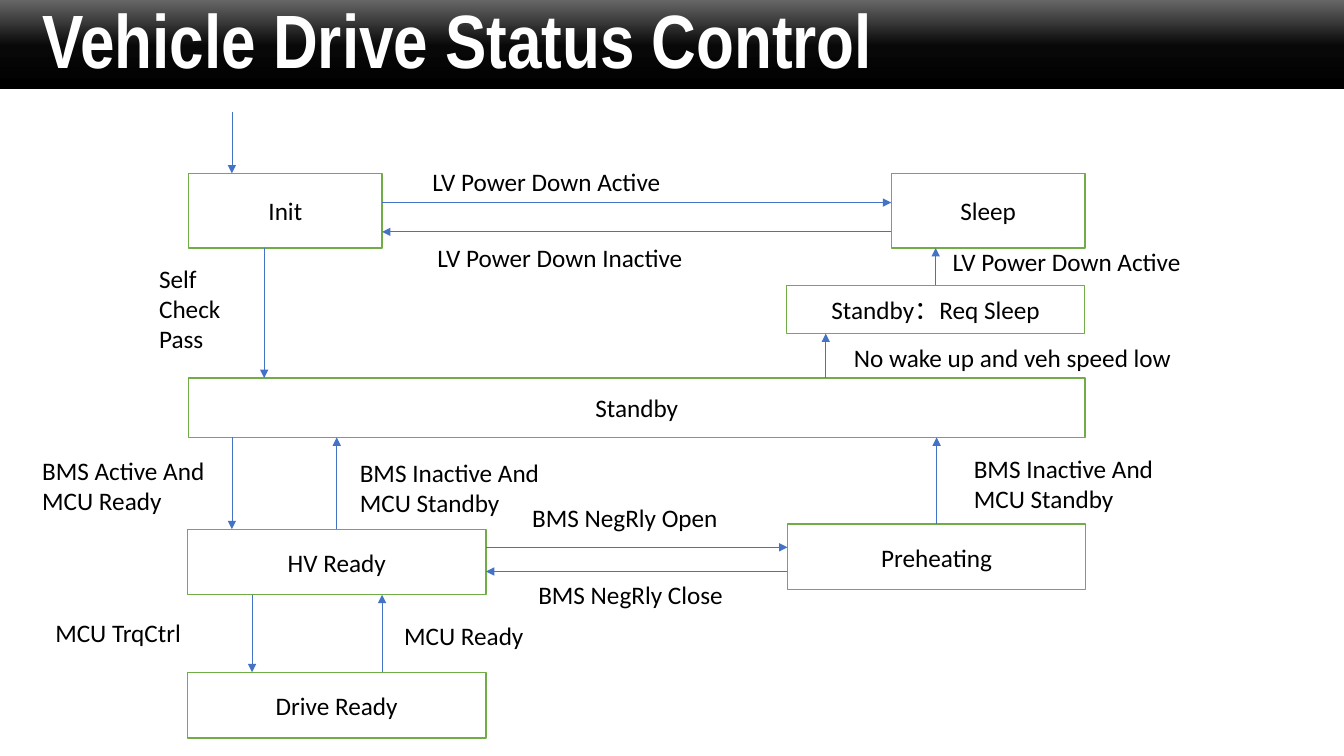
from copy import deepcopy

from lxml import etree
from pptx import Presentation
from pptx.dml.color import RGBColor
from pptx.enum.shapes import MSO_CONNECTOR, MSO_SHAPE
from pptx.enum.text import MSO_ANCHOR, MSO_AUTO_SIZE, PP_ALIGN
from pptx.oxml.ns import qn
from pptx.util import Inches, Pt

COLORS = {
    "black": "000000",
    "charcoal": "080808",
    "grey": "666666",
    "white": "FFFFFF",
    "state": "70AD47",
    "arrow": "4472C4",
}


def rgb(name):
    return RGBColor.from_string(COLORS[name])


def format_runs(tf, size, font, color, bold=False):
    for p in tf.paragraphs:
        for r in p.runs:
            r.font.size, r.font.name, r.font.bold = Pt(size), font, bold
            r.font.color.rgb = rgb(color)


def add_state(s, text, left, top, width, height):
    sp = s.shapes.add_shape(MSO_SHAPE.RECTANGLE, Inches(left), Inches(top),
                            Inches(width), Inches(height))
    sp.shadow.inherit = False
    sp.fill.solid()
    sp.fill.fore_color.rgb = rgb("white")
    sp.line.color.rgb = rgb("state")
    sp.line.width = Pt(1)
    tf = sp.text_frame
    tf.text = text
    tf.vertical_anchor = MSO_ANCHOR.MIDDLE
    tf.paragraphs[0].alignment = PP_ALIGN.CENTER
    format_runs(tf, 18, "Calibri", "black")
    return sp


def add_label(s, text, left, top, width, lines=1):
    sp = s.shapes.add_textbox(Inches(left), Inches(top), Inches(width),
                              Inches(0.1 + 0.3 * lines))
    tf = sp.text_frame
    tf.word_wrap = True
    tf.auto_size = MSO_AUTO_SIZE.SHAPE_TO_FIT_TEXT
    tf.text = text
    format_runs(tf, 18, "Calibri", "black")


def add_arrow(s, x1, y1, x2, y2):
    c = s.shapes.add_connector(MSO_CONNECTOR.STRAIGHT, x1, y1, x2, y2)
    c.line.color.rgb = rgb("arrow")
    c.line.width = Pt(0.5)
    ln = c.line._get_or_add_ln()
    etree.SubElement(ln, qn("a:tailEnd"), type="triangle")
    etree.SubElement(c._element.spPr, qn("a:effectLst"))


def link(s, start, end, at):
    """Join the facing edges of two states; at is the x or y the arrow keeps."""
    at = Inches(at)
    if start.top + start.height <= end.top:
        add_arrow(s, at, start.top + start.height, at, end.top)
    elif end.top + end.height <= start.top:
        add_arrow(s, at, start.top, at, end.top + end.height)
    elif start.left < end.left:
        add_arrow(s, start.left + start.width, at, end.left, at)
    else:
        add_arrow(s, start.left, at, end.left + end.width, at)


def draw_title(s, text, left, top, width, height):
    band = s.shapes.add_shape(MSO_SHAPE.RECTANGLE, Inches(left), Inches(top),
                              Inches(width), Inches(height))
    band.shadow.inherit = False
    band.line.fill.background()
    band.fill.gradient()
    band.fill.gradient_angle = 90
    first = band._element.spPr.find(".//" + qn("a:gs"))
    first.addnext(deepcopy(first))
    stops = [(0, "black"), (0.48, "charcoal"), (1, "grey")]
    for stop, (position, color) in zip(band.fill.gradient_stops, stops):
        stop.position = position
        stop.color.rgb = rgb(color)

    title = s.shapes.title
    band._element.addnext(title._element)
    title.left, title.top = Inches(left + 0.32), Inches(top)
    title.width, title.height = Inches(9.43), Inches(height)
    tf = title.text_frame
    tf.text = text
    tf.word_wrap = True
    tf.auto_size = MSO_AUTO_SIZE.NONE
    tf.vertical_anchor = MSO_ANCHOR.MIDDLE
    tf.paragraphs[0].alignment = PP_ALIGN.LEFT
    tf.paragraphs[0].line_spacing = 0.9
    format_runs(tf, 54, "Arial Narrow", "white", bold=True)


def draw_sleep_states(s, left, top, width):
    """Draw the states from start-up to standby and return the standby state."""
    right = left + width
    init = add_state(s, "Init", left, top + 0.61, 1.92, 0.74)
    sleep = add_state(s, "Sleep", right - 1.92, top + 0.61, 1.92, 0.74)
    request = add_state(s, "Standby：Req Sleep", right - 2.96, top + 1.72, 2.96, 0.48)
    standby = add_state(s, "Standby", left, top + 2.64, width, 0.59)

    entry = Inches(left + 0.43)
    add_arrow(s, entry, Inches(top), entry, init.top)
    link(s, init, sleep, top + 0.9)
    link(s, sleep, init, top + 1.19)
    link(s, init, standby, left + 0.75)
    link(s, standby, request, left + 6.32)
    link(s, request, sleep, left + 7.41)

    add_label(s, "LV Power Down Active", left + 2.32, top + 0.49, 2.75)
    add_label(s, "LV Power Down Inactive", left + 2.37, top + 1.25, 2.75)
    add_label(s, "Self Check Pass", left - 0.39, top + 1.45, 1.03, lines=3)
    add_label(s, "LV Power Down Active", left + 7.48, top + 1.28, 3.66)
    add_label(s, "No wake up and veh speed low", left + 6.5, top + 2.24, 3.66)
    return standby


def draw_drive_states(s, standby, left, top, width):
    """Draw the high-voltage and driving states below the standby state."""
    size = 2.96, 0.65
    ready = add_state(s, "HV Ready", left, top + 0.91, *size)
    preheating = add_state(s, "Preheating", left + width - size[0], top + 0.86, *size)
    drive = add_state(s, "Drive Ready", left, top + 2.33, *size)

    link(s, standby, ready, left + 0.44)
    link(s, ready, standby, left + 1.48)
    link(s, ready, drive, left + 0.64)
    link(s, drive, ready, left + 1.93)
    link(s, ready, preheating, top + 1.09)
    link(s, preheating, ready, top + 1.33)
    link(s, preheating, standby, left + 7.43)

    add_label(s, "BMS Active And MCU Ready", left - 1.54, top + 0.13, 1.83, lines=2)
    for x, y in ((1.61, 0.15), (7.7, 0.11)):
        add_label(s, "BMS Inactive And MCU Standby", left + x, top + y, 2.15, lines=2)
    add_label(s, "BMS NegRly Open", left + 3.32, top + 0.59, 2.15)
    add_label(s, "BMS NegRly Close", left + 3.38, top + 1.36, 2.15)
    add_label(s, "MCU TrqCtrl", left - 1.41, top + 1.74, 1.83)
    add_label(s, "MCU Ready", left + 2.05, top + 1.76, 1.83)


def main():
    prs = Presentation()
    prs.slide_width, prs.slide_height = Inches(13.33), Inches(7.5)
    s = prs.slides.add_slide(prs.slide_layouts[5])
    draw_title(s, "Vehicle Drive Status Control", 0, 0, 13.33, 0.88)
    standby = draw_sleep_states(s, 1.87, 1.11, 8.89)
    draw_drive_states(s, standby, 1.86, 4.34, 8.91)
    prs.save("out.pptx")


if __name__ == "__main__":
    main()
